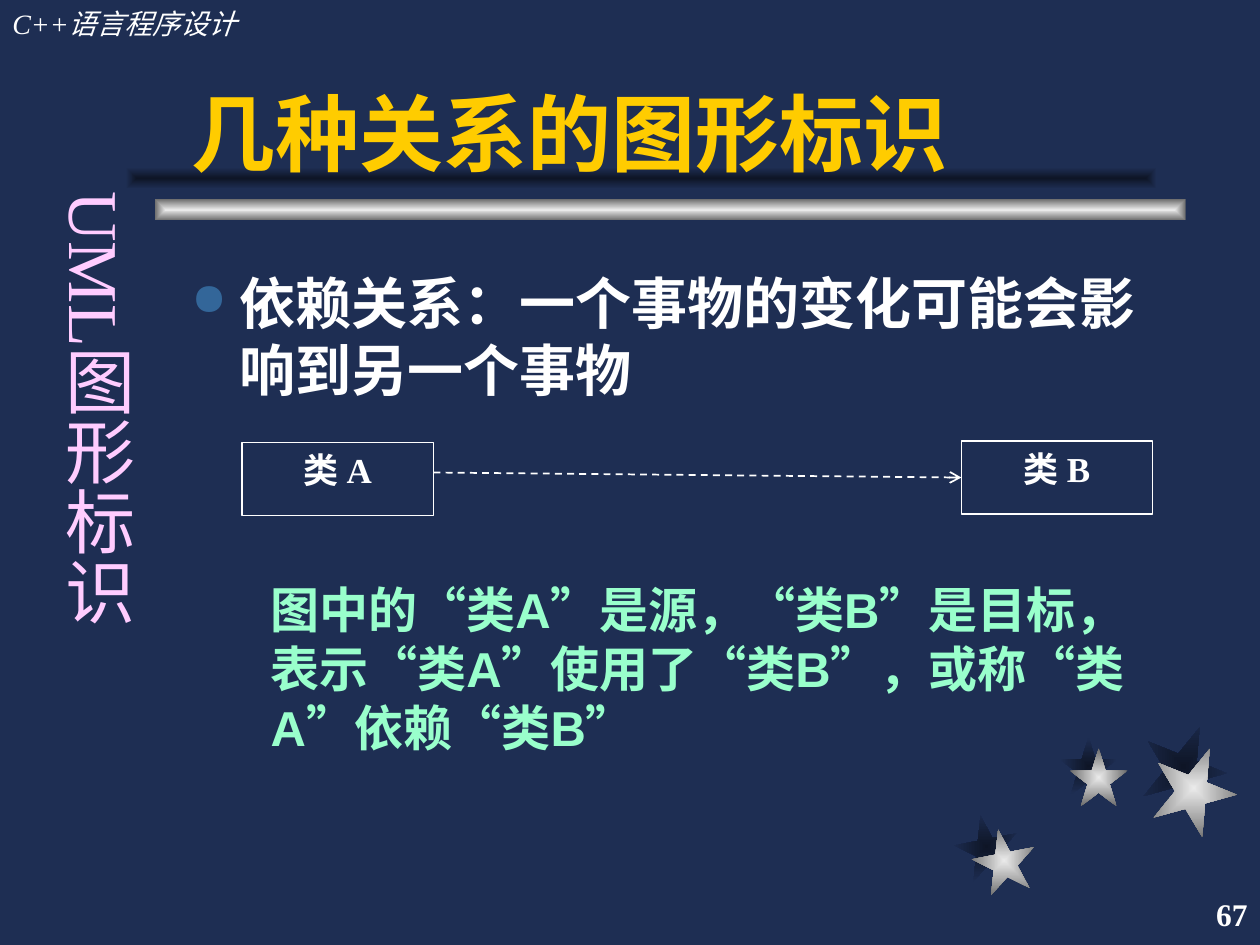
from dataclasses import dataclass

from lxml.etree import SubElement
from pptx import Presentation
from pptx.dml.color import RGBColor
from pptx.enum.dml import MSO_LINE
from pptx.enum.shapes import MSO_CONNECTOR, MSO_SHAPE
from pptx.enum.text import MSO_ANCHOR, PP_ALIGN
from pptx.oxml.ns import qn
from pptx.util import Inches, Pt


@dataclass(frozen=True)
class Theme:
    background: str = "1E2E53"
    white: str = "FFFFFF"
    title: str = "FFCC00"
    note: str = "99FFCC"
    side: str = "FFCCFF"
    bullet: str = "336699"
    metal: tuple = ("EAEAEA", "6C6C6C")
    shade: tuple = ("0E1526", "1E2E53")
    sans: str = "Arial"
    serif: str = "Times New Roman"
    header_size: int = 16
    number_size: int = 18
    class_size: int = 20
    note_size: int = 28
    body_size: int = 32
    side_size: int = 40
    title_size: int = 48


THEME = Theme()

HEADER = "C++语言程序设计"
PAGE_NUMBER = "67"
TITLE = "几种关系的图形标识"
SIDE_TITLE = "UML图形标识"
DEFINITION = "依赖关系：一个事物的变化可能会影响到另一个事物"
NOTE = "图中的“类A”是源，“类B”是目标，表示“类A”使用了“类B”，或称“类A”依赖“类B”"
CLASSES = [("类 A", 1.92, 3.51), ("类 B", 7.63, 3.5)]
CLASS_SIZE = (1.52, 0.58)
DECORATIONS = [
    (THEME.shade, [(7.58, 6.47, 0.5, 349), (8.41, 5.85, 0.46, 0), (9.06, 5.75, 0.67, 22)]),
    (THEME.metal, [(7.72, 6.58, 0.5, 349), (8.49, 5.94, 0.46, 0), (9.14, 5.92, 0.67, 22)]),
]
BARS = [(THEME.metal, 1.23, 1.58), (THEME.shade, 1, 1.33)]
BAR_SIZE = (8.18, 0.17)


def color(value):
    return RGBColor.from_string(value)


def style(paragraph, size, font_color, name, bold=False, italic=False):
    for run in paragraph.runs:
        run.font.size = Pt(size)
        run.font.color.rgb = color(font_color)
        run.font.name = name
        run.font.bold = bold
        run.font.italic = italic
        run.font.language_id = None
        run._r.get_or_add_rPr().set("lang", "zh-CN")


def add_text(slide, box, text, anchor=MSO_ANCHOR.TOP, align=PP_ALIGN.LEFT, **font):
    shape = slide.shapes.add_textbox(*map(Inches, box))
    frame = shape.text_frame
    frame.word_wrap = True
    frame.vertical_anchor = anchor
    frame.text = text
    paragraph = frame.paragraphs[0]
    paragraph.alignment = align
    style(paragraph, **font)
    return shape


def add_gradient_shape(slide, kind, box, colors, rotation=0):
    shape = slide.shapes.add_shape(kind, *map(Inches, box))
    shape.rotation = rotation
    shape.shadow.inherit = False
    shape.line.fill.background()
    shape.fill.gradient()
    for position, (stop, value) in enumerate(zip(shape.fill.gradient_stops, colors)):
        stop.color.rgb = color(value)
        stop.position = position
    gradient = shape._element.spPr.find(qn("a:gradFill"))
    gradient.remove(gradient.find(qn("a:lin")))
    center = SubElement(gradient, qn("a:path"), path="rect")
    SubElement(center, qn("a:fillToRect"), l="50000", t="50000", r="50000", b="50000")


def add_class(slide, label, left, top):
    shape = slide.shapes.add_shape(
        MSO_SHAPE.RECTANGLE, *map(Inches, (left, top, *CLASS_SIZE)))
    shape.shadow.inherit = False
    shape.fill.background()
    shape.line.color.rgb = color(THEME.white)
    shape.line.width = Pt(0.75)
    frame = shape.text_frame
    frame.vertical_anchor = MSO_ANCHOR.TOP
    frame.text = label
    paragraph = frame.paragraphs[0]
    paragraph.alignment = PP_ALIGN.CENTER
    style(paragraph, THEME.class_size, THEME.white, THEME.serif, bold=True)
    return shape


def add_dependency(slide, target):
    line = slide.shapes.add_connector(
        MSO_CONNECTOR.STRAIGHT, *map(Inches, (3.44, 3.75, 7.63, 3.78)))
    line.end_connect(target, 1)
    line.line.color.rgb = color(THEME.white)
    line.line.width = Pt(1)
    line.line.dash_style = MSO_LINE.DASH
    SubElement(line.line._get_or_add_ln(), qn("a:tailEnd"), type="arrow")
    SubElement(line._element.spPr, qn("a:effectLst"))


def add_body(slide):
    shape = add_text(slide, (1.42, 2.08, 7.92, 4.5), DEFINITION,
                     size=THEME.body_size, font_color=THEME.white,
                     name=THEME.sans, bold=True)
    frame = shape.text_frame
    definition = frame.paragraphs[0]._p.get_or_add_pPr()
    definition.set("marL", str(Inches(0.38)))
    definition.set("indent", str(Inches(-0.38)))
    bullet_color = SubElement(definition, qn("a:buClr"))
    SubElement(bullet_color, qn("a:srgbClr"), val=THEME.bullet)
    SubElement(definition, qn("a:buSzPct"), val="80000")
    SubElement(definition, qn("a:buChar"), char="●")
    note = frame.add_paragraph()
    note.text = NOTE
    note.space_before = Pt(101)
    note._p.get_or_add_pPr().set("marL", str(Inches(0.63)))
    style(note, THEME.note_size, THEME.note, THEME.sans, bold=True)


def main():
    presentation = Presentation()
    presentation.slide_width = Inches(10)
    presentation.slide_height = Inches(7.5)
    slide = presentation.slides.add_slide(presentation.slide_layouts[6])
    slide.background.fill.solid()
    slide.background.fill.fore_color.rgb = color(THEME.background)

    for colors, stars in DECORATIONS:
        for left, top, size, rotation in stars:
            add_gradient_shape(slide, MSO_SHAPE.STAR_5_POINT,
                               (left, top, size, size), colors, rotation)
    for colors, left, top in BARS:
        add_gradient_shape(slide, MSO_SHAPE.RECTANGLE, (left, top, *BAR_SIZE), colors)

    add_text(slide, (0, 0, 3.08, 0.37), HEADER, size=THEME.header_size,
             font_color=THEME.white, name=THEME.serif, italic=True)
    add_text(slide, (7.92, 7, 2.08, 0.5), PAGE_NUMBER, MSO_ANCHOR.MIDDLE,
             PP_ALIGN.RIGHT, size=THEME.number_size, font_color=THEME.white,
             name=THEME.serif, bold=True)
    add_text(slide, (1.42, 0.25, 7.83, 1.25), TITLE, MSO_ANCHOR.BOTTOM,
             size=THEME.title_size, font_color=THEME.title, name=THEME.sans, bold=True)
    add_body(slide)

    source, target = [add_class(slide, *entry) for entry in CLASSES]
    add_dependency(slide, target)

    side = add_text(slide, (0.3, 1.42, 0.86, 5.17), SIDE_TITLE, size=THEME.side_size,
                    font_color=THEME.side, name=THEME.serif)
    frame = side.text_frame
    frame.margin_left = frame.margin_right = Inches(0.05)
    frame.margin_top = frame.margin_bottom = Inches(0.1)
    frame._txBody.bodyPr.set("vert", "eaVert")

    presentation.save("out.pptx")


if __name__ == "__main__":
    main()
